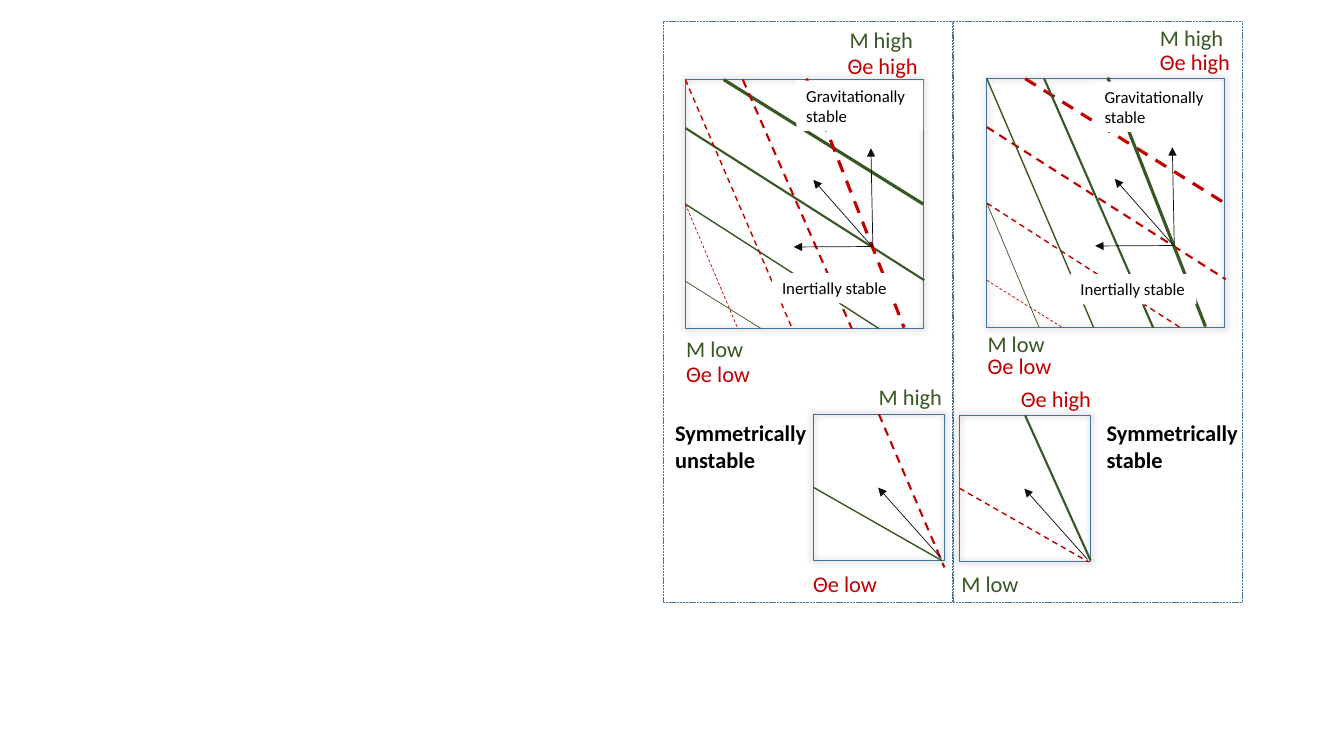
from dataclasses import dataclass
from typing import Optional

from lxml import etree
from pptx import Presentation
from pptx.dml.color import RGBColor
from pptx.enum.dml import MSO_LINE
from pptx.enum.shapes import MSO_CONNECTOR, MSO_SHAPE
from pptx.enum.text import MSO_AUTO_SIZE, MSO_ANCHOR, PP_ALIGN
from pptx.oxml.ns import qn
from pptx.util import Pt

RECTANGLE = MSO_SHAPE.RECTANGLE
STRAIGHT = MSO_CONNECTOR.STRAIGHT
DASH, DOT = MSO_LINE.DASH, MSO_LINE.SQUARE_DOT
GROW, TOP, LEFT = MSO_AUTO_SIZE.SHAPE_TO_FIT_TEXT, MSO_ANCHOR.TOP, PP_ALIGN.LEFT
SIDE_TOP, SIDE_LEFT, SIDE_RIGHT = 0, 1, 3

COLORS = {
    "momentum": "385723",
    "theta": "C00000",
    "arrow": "0D0D0D",
    "border": "43739E",
    "text": "000000",
    "patch": "FFFFFF",
}
DASHES = {"theta": DASH}


@dataclass(frozen=True)
class Contour:
    start: tuple[float, float]
    end: tuple[float, float]
    width: float
    start_side: Optional[int] = None
    end_side: Optional[int] = None


@dataclass(frozen=True)
class Panel:
    left: float
    top: float
    width: float
    height: float
    shallow: str
    steep: str
    shallow_lines: tuple[Contour, ...]
    steep_lines: tuple[Contour, ...]
    arrows: tuple[Contour, ...]


@dataclass(frozen=True)
class Label:
    text: str
    left: float
    top: float
    width: float
    height: float
    color: str = "text"
    size: float = 16
    bold: bool = False
    wrap: bool = False
    patch: bool = False


LARGE_SHALLOW = (
    Contour((0, 144), (54, 177.8), 0.5),
    Contour((0, 88.6), (138.2, 177.8), 1, SIDE_LEFT),
    Contour((0, 34.6), (170.6, 143.3), 1.5),
    Contour((27.4, 0), (170.6, 88.6), 2.25, None, SIDE_RIGHT),
)
LARGE_STEEP = (
    Contour((0, 88.6), (37.4, 177.8), 0.5, SIDE_LEFT),
    Contour((0, 0), (76.3, 177.8), 1),
    Contour((41, 0), (118.8, 177.8), 1.5),
    Contour((86.4, -0.7), (156.2, 177.1), 2.25),
)
LARGE_ARROWS = (
    Contour((132.5, 119.2), (77.4, 119.5), 0.5),
    Contour((133.9, 119.2), (132.5, 49), 0.5),
    Contour((133.6, 119.5), (91.4, 71.6), 0.5),
)
SMALL_SHALLOW = (Contour((0, 52.2), (92.2, 104.8), 1, SIDE_LEFT),)
SMALL_ARROWS = (Contour((91.4, 103), (46.3, 52.4), 0.5),)


def small_steep(drop: float) -> tuple[Contour, ...]:
    return (Contour((46.8, 0), (93.6, drop), 1.5, SIDE_TOP),)


PANELS = (
    Panel(489.6, 56.9, 169.9, 177.8, "momentum", "theta",
          LARGE_SHALLOW, LARGE_STEEP, LARGE_ARROWS),
    Panel(704.9, 56.2, 169.9, 177.8, "theta", "momentum",
          LARGE_SHALLOW, LARGE_STEEP, LARGE_ARROWS),
    Panel(581, 295.9, 93.6, 104.4, "momentum", "theta",
          SMALL_SHALLOW, small_steep(109.4), SMALL_ARROWS),
    Panel(685.4, 296.6, 93.6, 104.4, "theta", "momentum",
          SMALL_SHALLOW, small_steep(103.7), SMALL_ARROWS),
)

AXIS_WORDS = {
    ("theta", "low"): ("Θe low", 60.5),
    ("theta", "high"): ("Θe high", 64.8),
    ("momentum", "low"): ("M low", 55.4),
    ("momentum", "high"): ("M high", 59.8),
}
AXIS_PLACES = (
    ("theta", "low", 483.1, 253.4),
    ("theta", "high", 598.3, 33.8),
    ("momentum", "low", 483.1, 236.2),
    ("momentum", "high", 599.8, 15.1),
    ("theta", "high", 821.5, 31),
    ("momentum", "high", 821.5, 13.7),
    ("theta", "low", 698.4, 247.7),
    ("momentum", "low", 698.4, 232.6),
    ("theta", "low", 573.8, 403.9),
    ("momentum", "high", 620.6, 270),
    ("momentum", "low", 679.7, 403.9),
    ("theta", "high", 722.2, 271.4),
)
AXIS_LABELS = tuple(
    Label(AXIS_WORDS[field, level][0], left, top,
          AXIS_WORDS[field, level][1], 26.6, field)
    for field, level, left, top in AXIS_PLACES
)
PATCHES = tuple(
    Label(text, left, top, width, height, size=12, wrap=wrap, patch=True)
    for text, left, top, width, height, wrap in (
        ("Inertially stable", 551.5, 195.1, 90, 21.6, False),
        ("Gravitationally stable", 568.8, 57.6, 90.7, 36, True),
        ("Inertially stable", 764.6, 195.8, 90, 21.6, False),
        ("Gravitationally stable", 781.9, 58.3, 90.7, 36, True),
    )
)
VERDICTS = (
    Label("Symmetrically unstable", 475.2, 295.9, 110.2, 46.1, bold=True, wrap=True),
    Label("Symmetrically stable", 783.4, 295.9, 110.2, 46.1, bold=True, wrap=True),
)


def rgb(name: str) -> RGBColor:
    return RGBColor.from_string(COLORS[name])


def set_line(line, color: str, width: float, dash=None) -> None:
    line.color.rgb = rgb(color)
    for attribute, value in {"width": Pt(width), "dash_style": dash}.items():
        setattr(line, attribute, value)


def add_box(shapes, left: float, top: float, width: float, height: float):
    box = shapes.add_shape(RECTANGLE, Pt(left), Pt(top), Pt(width), Pt(height))
    box.shadow.inherit = False
    box.fill.background()
    return box


def add_halo(box) -> None:
    effects = box._element.spPr.find(qn("a:effectLst"))
    shadow = etree.SubElement(effects, qn("a:outerShdw"), blurRad=str(Pt(5)), dist="0", dir="0")
    black = etree.SubElement(shadow, qn("a:srgbClr"), val=COLORS["text"])
    etree.SubElement(black, qn("a:alpha"), val="40000")


def add_contour(shapes, panel: Panel, box, contour: Contour, color: str) -> None:
    (x1, y1), (x2, y2) = contour.start, contour.end
    stroke = shapes.add_connector(
        STRAIGHT, Pt(panel.left + x1), Pt(panel.top + y1),
        Pt(panel.left + x2), Pt(panel.top + y2))
    if contour.start_side is not None:
        stroke.begin_connect(box, contour.start_side)
    if contour.end_side is not None:
        stroke.end_connect(box, contour.end_side)
    set_line(stroke.line, color, contour.width, DASHES.get(color))
    properties = stroke._element.spPr
    if color == "arrow":
        etree.SubElement(properties.find(qn("a:ln")), qn("a:tailEnd"), type="triangle")
    etree.SubElement(properties, qn("a:effectLst"))


def add_panel(shapes, panel: Panel) -> None:
    box = add_box(shapes, panel.left, panel.top, panel.width, panel.height)
    set_line(box.line, "border", 1)
    add_halo(box)
    for color, contours in ((panel.shallow, panel.shallow_lines),
                            (panel.steep, panel.steep_lines),
                            ("arrow", panel.arrows)):
        for contour in contours:
            add_contour(shapes, panel, box, contour, color)


def add_label(shapes, label: Label) -> None:
    area = (label.left, label.top, label.width, label.height)
    if label.patch:
        holder = add_box(shapes, *area)
        holder.fill.solid()
        holder.fill.fore_color.rgb = rgb("patch")
        holder.line.fill.background()
    else:
        holder = shapes.add_textbox(*map(Pt, area))
    frame = holder.text_frame
    frame.text = label.text
    paragraph = frame.paragraphs[0]
    paragraph.alignment = LEFT
    font = paragraph.runs[0].font
    font.color.rgb = rgb(label.color)
    formats = (
        (frame, {"word_wrap": label.wrap, "auto_size": GROW, "vertical_anchor": TOP}),
        (font, {"name": "Calibri", "size": Pt(label.size), "bold": label.bold}),
    )
    for target, values in formats:
        for attribute, value in values.items():
            setattr(target, attribute, value)


def main() -> None:
    deck = Presentation()
    deck.slide_width, deck.slide_height = Pt(960), Pt(540)
    shapes = deck.slides.add_slide(deck.slide_layouts[6]).shapes
    for panel in PANELS:
        add_panel(shapes, panel)
    for label in AXIS_LABELS + PATCHES:
        add_label(shapes, label)
    for left in (473.8, 681.1):
        set_line(add_box(shapes, left, 15.1, 206.6, 415.4).line, "border", 0.5, DOT)
    for verdict in VERDICTS:
        add_label(shapes, verdict)
    deck.save("out.pptx")


if __name__ == "__main__":
    main()
